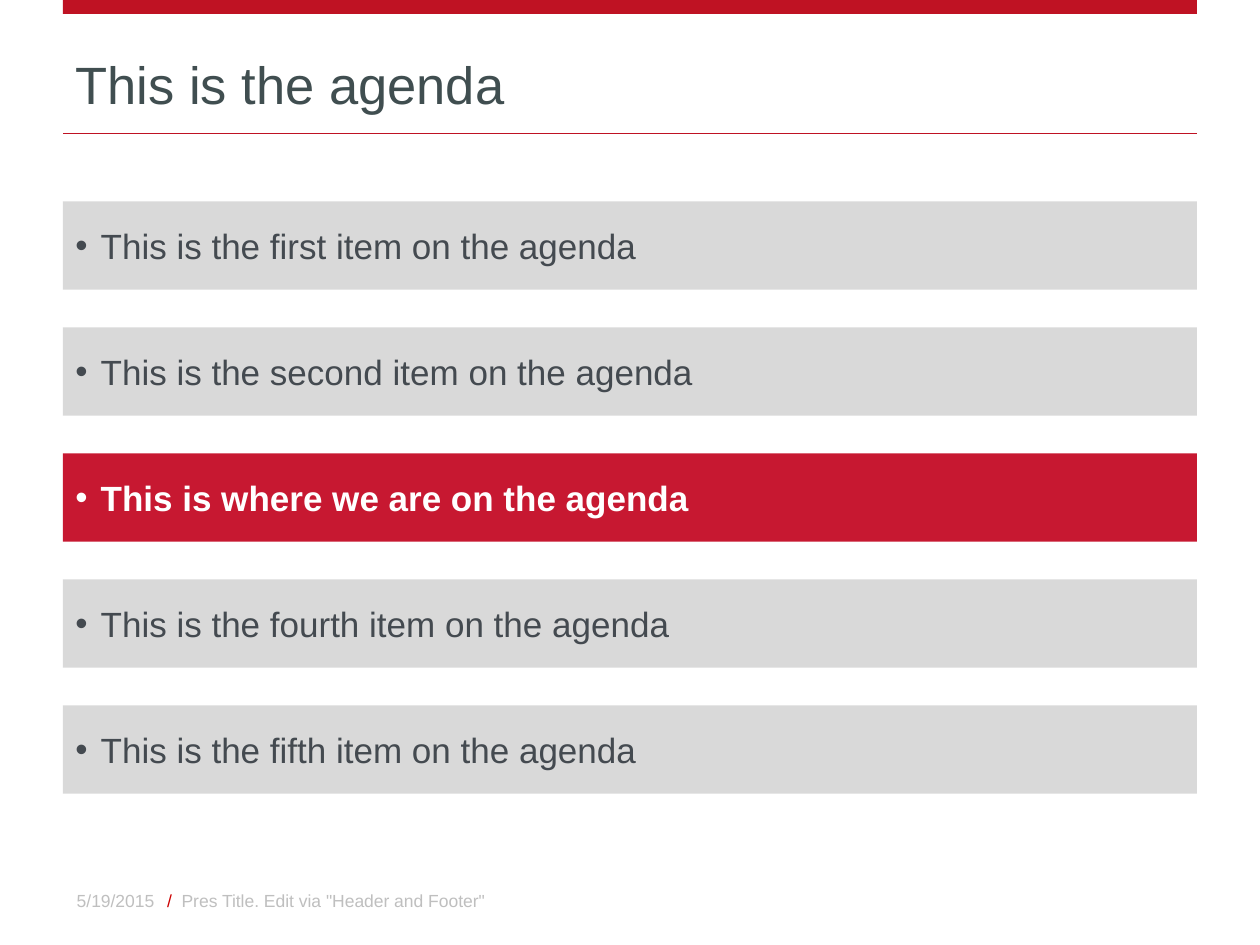
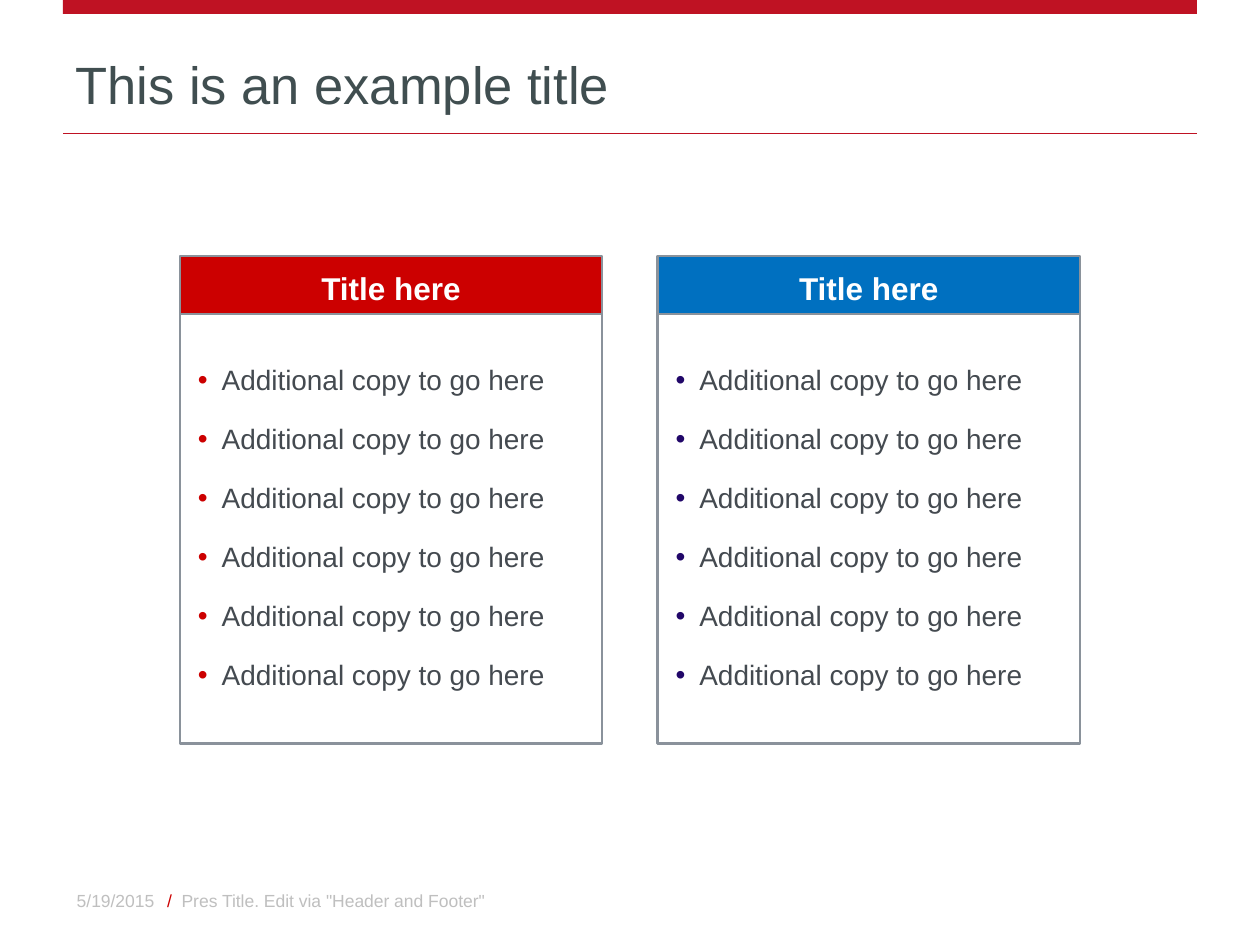
"""Build an agenda slide and a two-panel comparison slide with a shared frame."""
from lxml.etree import SubElement
from pptx import Presentation
from pptx.dml.color import RGBColor
from pptx.enum.shapes import MSO_CONNECTOR as Connector, MSO_SHAPE as Shape
from pptx.enum.text import MSO_ANCHOR as Anchor, MSO_AUTO_SIZE as AutoSize, PP_ALIGN as Align
from pptx.oxml.ns import qn
from pptx.util import Cm, Pt

AGENDA_TITLE = "This is the agenda"
AGENDA = [
    "This is the first item on the agenda",
    "This is the second item on the agenda",
    "This is where we are on the agenda",
    "This is the fourth item on the agenda",
    "This is the fifth item on the agenda",
]
CURRENT_ITEM = 2

PANELS_TITLE = "This is an example title"
PANELS = [
    {"heading": "Title here", "fill": "panel red", "bullet": "panel red",
     "points": ["Additional copy to go here"] * 6},
    {"heading": "Title here", "fill": "panel blue", "bullet": "navy",
     "points": ["Additional copy to go here"] * 6},
]

DATE = "5/19/2015"
FOOTER = [("/ ", "panel red"), (' Pres Title. Edit via "Header and Footer"', "footer")]

COLORS = {
    "band": "BF1223", "title": "404E50", "text": "444A50", "white": "FFFFFF",
    "item": "D9D9D9", "current": "C71831", "border": "8A929B", "footer": "BFBFBF",
    "panel red": "CC0000", "panel blue": "0070C0", "navy": "210769",
}
FONT = "Arial"
SLIDE_WIDTH, SLIDE_HEIGHT = Cm(25.4), Cm(19.05)
MARGIN = Cm(1.27)
CONTENT_WIDTH = SLIDE_WIDTH - 2 * MARGIN
FOOTER_TOP, FOOTER_HEIGHT = Cm(17.65), Cm(1.02)
ITEM_TOP, ITEM_HEIGHT, ITEM_PITCH = Cm(4.06), Cm(1.78), Cm(2.54)
PANEL_WIDTH, PANEL_GAP = Cm(8.51), Cm(1.12)
HEADING_TOP, HEADING_HEIGHT = Cm(5.16), Cm(1.17)
BODY_TOP, BODY_HEIGHT = Cm(6.07), Cm(8.92)


def rgb(color):
    return RGBColor.from_string(COLORS[color])


def set_font(font, size, color, bold=False):
    font.name, font.size, font.bold = FONT, Pt(size), bold
    font.color.rgb = rgb(color)


def set_bullet(paragraph, color, left, hanging):
    properties = paragraph._p.get_or_add_pPr()
    properties.set("marL", str(left))
    properties.set("indent", str(-hanging))
    bullet_color = SubElement(properties, qn("a:buClr"))
    SubElement(bullet_color, qn("a:srgbClr"), val=COLORS[color])
    SubElement(properties, qn("a:buFont"), typeface=FONT)
    SubElement(properties, qn("a:buChar"), char="•")


def set_margins(frame, side, top, bottom):
    frame.margin_left = frame.margin_right = side
    frame.margin_top, frame.margin_bottom = top, bottom


def add_box(slide, left, top, width, height, fill, border=None, kind=Shape.ROUNDED_RECTANGLE):
    box = slide.shapes.add_shape(kind, left, top, width, height)
    if kind == Shape.ROUNDED_RECTANGLE:
        box.adjustments[0] = 0
    box.shadow.inherit = False
    box.fill.solid()
    box.fill.fore_color.rgb = rgb(fill)
    if border:
        box.line.color.rgb = rgb(border)
        box.line.width = Pt(1.5)
    else:
        box.line.fill.background()
    frame = box.text_frame
    frame.word_wrap, frame.vertical_anchor = True, Anchor.MIDDLE
    return box


def add_footer_text(slide, left, width, parts, align):
    frame = slide.shapes.add_textbox(left, FOOTER_TOP, width, FOOTER_HEIGHT).text_frame
    frame.word_wrap, frame.vertical_anchor = True, Anchor.MIDDLE
    paragraph = frame.paragraphs[0]
    paragraph.alignment = align
    for text, color in parts:
        run = paragraph.add_run()
        run.text = text
        set_font(run.font, 10, color)


def add_framed_slide(deck, heading):
    slide = deck.slides.add_slide(deck.slide_layouts[5])
    add_box(slide, MARGIN, 0, CONTENT_WIDTH, Cm(0.28), "band", kind=Shape.RECTANGLE)
    rule = slide.shapes.add_connector(
        Connector.STRAIGHT, MARGIN, Cm(2.69), MARGIN + CONTENT_WIDTH, Cm(2.69))
    rule.line.color.rgb = rgb("band")
    rule.line.width = Pt(1)
    SubElement(rule._element.spPr, qn("a:effectLst"))

    title = slide.shapes.title
    title.left, title.top, title.width, title.height = MARGIN, Cm(0.71), CONTENT_WIDTH, Cm(1.73)
    frame = title.text_frame
    frame.text = heading
    frame.auto_size, frame.vertical_anchor = AutoSize.NONE, Anchor.BOTTOM
    frame.paragraphs[0].alignment = Align.LEFT
    set_font(frame.paragraphs[0].font, 30, "title")

    add_footer_text(slide, Cm(0.41), Cm(2.95), [(DATE, "footer")], Align.RIGHT)
    add_footer_text(slide, Cm(3.12), Cm(8.05), FOOTER, Align.LEFT)
    return slide


def add_agenda(slide):
    for index, item in enumerate(AGENDA):
        current = index == CURRENT_ITEM
        color = "white" if current else "text"
        bar = add_box(slide, MARGIN, ITEM_TOP + index * ITEM_PITCH, CONTENT_WIDTH, ITEM_HEIGHT,
                      "current" if current else "item")
        paragraph = bar.text_frame.paragraphs[0]
        paragraph.text, paragraph.alignment = item, Align.LEFT
        set_font(paragraph.font, 20, color, bold=current)
        set_bullet(paragraph, color, Cm(0.51), Cm(0.51))


def add_panel(slide, left, panel):
    body = add_box(slide, left, BODY_TOP, PANEL_WIDTH, BODY_HEIGHT, "white", "border").text_frame
    set_margins(body, Cm(0.1), Cm(0.4), Cm(0.2))
    body.text = "\n".join(panel["points"])
    for paragraph in body.paragraphs:
        paragraph.alignment, paragraph.space_after = Align.LEFT, Pt(14.5)
        set_font(paragraph.font, 16, "text")
        set_bullet(paragraph, panel["bullet"], Cm(0.74), Cm(0.48))
    body.paragraphs[-1].space_after = Pt(0)

    heading = add_box(slide, left, HEADING_TOP, PANEL_WIDTH, HEADING_HEIGHT,
                      panel["fill"], "border").text_frame
    set_margins(heading, Cm(0.2), Cm(0.25), Cm(0.13))
    heading.text = panel["heading"]
    heading.paragraphs[0].alignment = Align.CENTER
    set_font(heading.paragraphs[0].font, 18, "white", bold=True)


def add_panels(slide):
    pitch = PANEL_WIDTH + PANEL_GAP
    first_left = (SLIDE_WIDTH - len(PANELS) * pitch + PANEL_GAP) // 2
    for index, panel in enumerate(PANELS):
        add_panel(slide, first_left + index * pitch, panel)


def main():
    deck = Presentation()
    deck.slide_width, deck.slide_height = SLIDE_WIDTH, SLIDE_HEIGHT
    add_agenda(add_framed_slide(deck, AGENDA_TITLE))
    add_panels(add_framed_slide(deck, PANELS_TITLE))
    deck.save("out.pptx")


if __name__ == "__main__":
    main()
